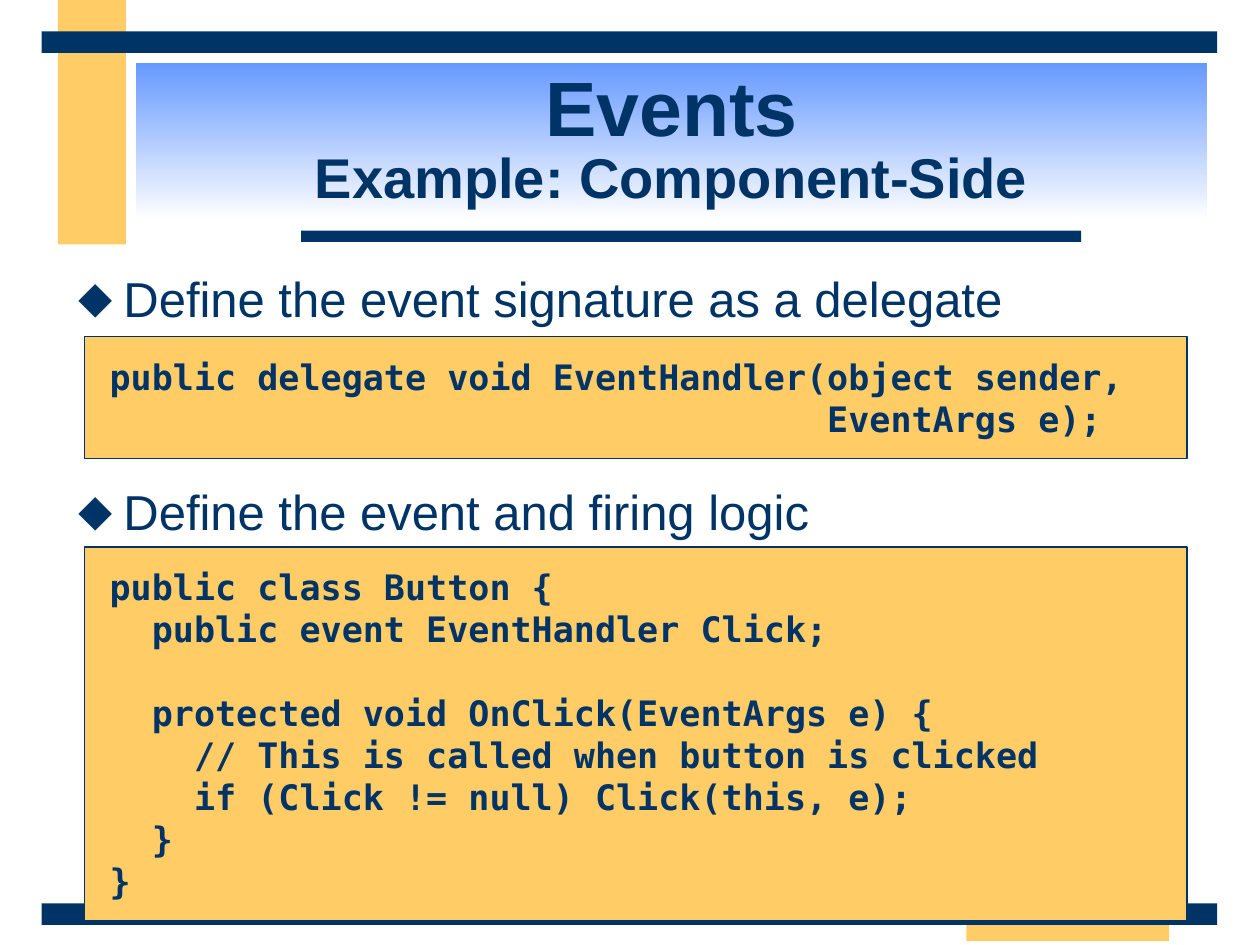
import pptx
import pptx.util
import pptx.dml.color
import pptx.enum.shapes
import pptx.enum.text
from lxml import etree

Inches = pptx.util.Inches
Pt = pptx.util.Pt
NAVY, GOLD, BLUE, WHITE = "003366", "FFCC66", "6699FF", "FFFFFF"
BARS = [
    (0.46, 0, 0.54, 1.94, GOLD),
    (7.67, 7.05, 1.61, 0.42, GOLD),
    (2.39, 1.83, 6.19, 0.09, NAVY),
    (0.33, 7.17, 9.33, 0.17, NAVY),
    (0.33, 0.25, 9.33, 0.17, NAVY),
]
SIGN = """public delegate void EventHandler(object sender,
                                  EventArgs e);"""
LOGIC = """public class Button {
  public event EventHandler Click;

  protected void OnClick(EventArgs e) {
    // This is called when button is clicked
    if (Click != null) Click(this, e);
  }
}"""


def tint(code):
    return pptx.dml.color.RGBColor.from_string(code)


class Deck:
    sans = "Arial"
    mono = "DejaVu Sans Mono"

    def __init__(self):
        self.prs = pptx.Presentation()
        self.prs.slide_width = Inches(10)
        self.prs.slide_height = Inches(7.5)
        self.slide = self.prs.slides.add_slide(self.prs.slide_layouts[1])

    def place(self, shape, x, y, w, h):
        shape.left, shape.top = Inches(x), Inches(y)
        shape.width, shape.height = Inches(w), Inches(h)

    def frame(self, shape, side, edge, anchor):
        box = shape.text_frame
        box.word_wrap = True
        box.auto_size = pptx.enum.text.MSO_AUTO_SIZE.NONE
        box.vertical_anchor = anchor
        box.margin_left = box.margin_right = Inches(side)
        box.margin_top = box.margin_bottom = Inches(edge)
        return box

    def style(self, run, size, face, bold):
        run.font.size = Pt(size)
        run.font.name = face
        run.font.bold = bold
        run.font.color.rgb = tint(NAVY)

    def bar(self, x, y, w, h, fill):
        shape = self.slide.shapes.add_shape(
            pptx.enum.shapes.MSO_SHAPE.RECTANGLE,
            Inches(x), Inches(y), Inches(w), Inches(h))
        shape.shadow.inherit = False
        shape.fill.solid()
        shape.fill.fore_color.rgb = tint(fill)
        shape.line.fill.background()
        return shape

    def title(self, head, sub):
        shape = self.slide.shapes.title
        self.place(shape, 1.08, 0.5, 8.5, 1.25)
        shape.fill.gradient()
        shape.fill.gradient_angle = 270
        for stop, code, pos in zip(shape.fill.gradient_stops, (BLUE, WHITE), (0, 1)):
            stop.color.rgb = tint(code)
            stop.position = pos
        box = self.frame(shape, 0.1, 0.05, pptx.enum.text.MSO_ANCHOR.MIDDLE)
        para = box.paragraphs[0]
        para.text = head + "\v" + sub
        para.alignment = pptx.enum.text.PP_ALIGN.CENTER
        para.line_spacing = 0.85
        for run, size in zip(para.runs, (44, 32)):
            self.style(run, size, self.sans, True)

    def points(self, items, gap):
        shape = self.slide.placeholders[1]
        self.place(shape, 0.5, 2.08, 9, 4.92)
        box = self.frame(shape, 0.1, 0.05, pptx.enum.text.MSO_ANCHOR.TOP)
        box.text = "\n".join(items)
        for i, para in enumerate(box.paragraphs):
            para.space_before = Pt(gap if i else 0)
            props = para._p.get_or_add_pPr()
            props.set("marL", str(Inches(0.38)))
            props.set("indent", str(Inches(-0.36)))
            space = props.nsmap["a"]
            color = etree.SubElement(props, f"{{{space}}}buClr")
            etree.SubElement(color, f"{{{space}}}srgbClr", val=NAVY)
            etree.SubElement(props, f"{{{space}}}buChar", char="⬥")
            self.style(para.runs[0], 28, self.sans, False)

    def code(self, y, h, text):
        shape = self.bar(0.67, y, 8.75, h, GOLD)
        shape.line.color.rgb = tint(NAVY)
        shape.line.width = Pt(1)
        box = self.frame(shape, 0.2, 0.15, pptx.enum.text.MSO_ANCHOR.TOP)
        para, gap = box.paragraphs[0], 0
        for i, line in enumerate(text.split("\n")):
            if not line:
                gap = 24
                continue
            if i:
                para = box.add_paragraph()
            para.text = line
            para.alignment = pptx.enum.text.PP_ALIGN.LEFT
            para.space_before = Pt(gap)
            self.style(para.runs[0], 20, self.mono, True)
            gap = 0


def main():
    deck = Deck()
    for bar in BARS:
        deck.bar(*bar)
    deck.title("Events", "Example: Component-Side")
    deck.points(["Define the event signature as a delegate",
                 "Define the event and firing logic"], 88)
    deck.code(2.67, 0.97, SIGN)
    deck.code(4.34, 2.97, LOGIC)
    deck.prs.save("out.pptx")


if __name__ == "__main__":
    main()
